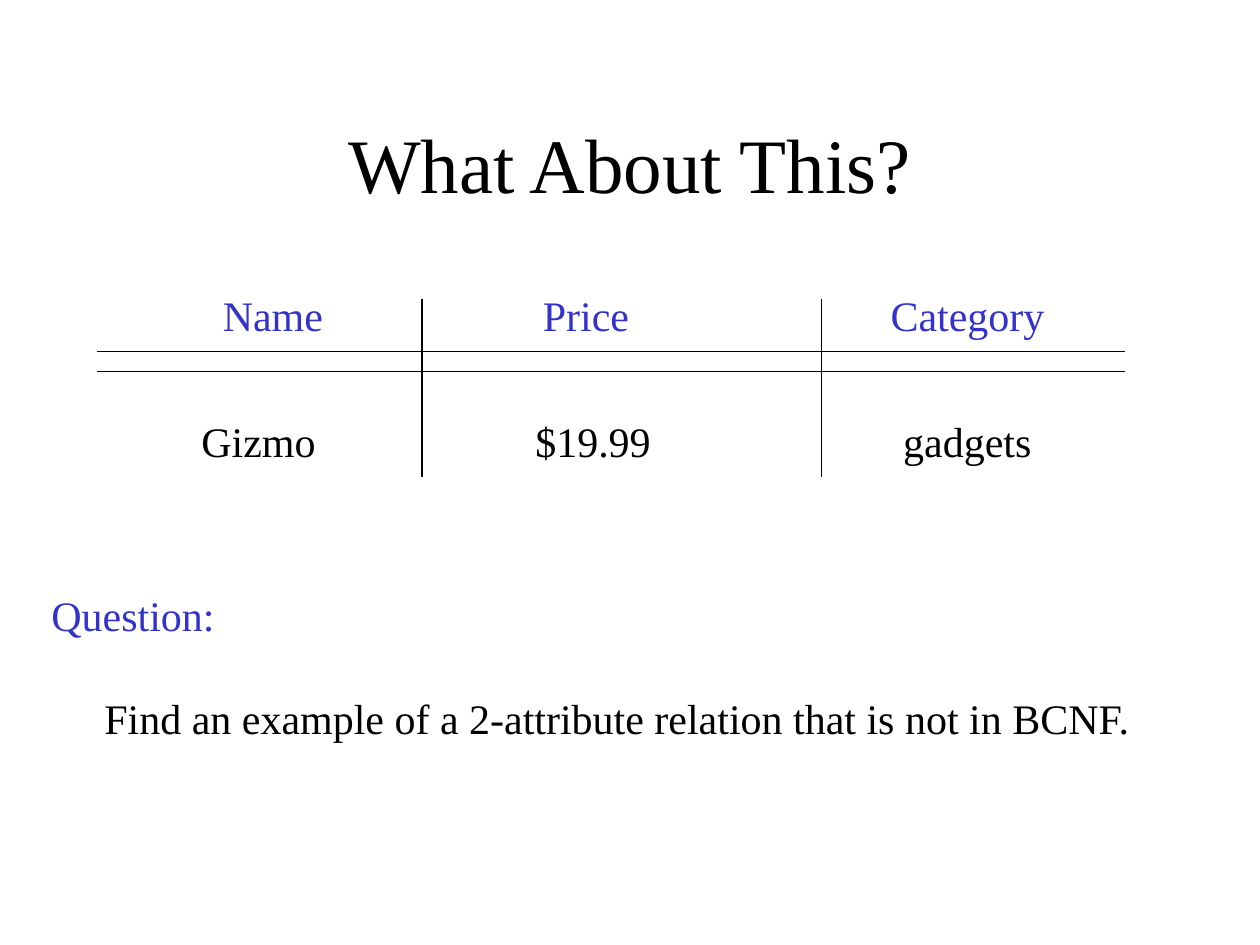
from dataclasses import dataclass

from lxml import etree
from pptx import Presentation
from pptx.dml.color import RGBColor
from pptx.enum.shapes import MSO_CONNECTOR
from pptx.enum.text import MSO_ANCHOR, PP_ALIGN
from pptx.oxml.ns import qn
from pptx.util import Inches, Pt

STRAIGHT = MSO_CONNECTOR.STRAIGHT
MIDDLE, TOP = MSO_ANCHOR.MIDDLE, MSO_ANCHOR.TOP
CENTER, LEFT = PP_ALIGN.CENTER, PP_ALIGN.LEFT
WIDTH, HEIGHT = Inches(10), Inches(7.5)
FONT = "Times New Roman"
BLACK, BLUE = "000000", "3333CC"


@dataclass
class Box:
    """A rectangle in percent of the slide's width and height."""
    left: float
    top: float
    width: float
    height: float


@dataclass
class Row:
    """A row of the relation, its tab stops in percent of the slide's width."""
    box: Box
    values: list[str]
    stops: list[float]
    color: str


@dataclass
class Rule:
    """A straight rule between two points in percent of the slide."""
    x1: float
    y1: float
    x2: float
    y2: float


TITLE = Box(7.5, 8.93, 85, 16.67)
QUESTION = Box(3.1, 61.73, 89, 17.33)
ROWS = [
    Row(Box(16.7, 30, 69, 6.67), ["Name", "Price", "Category"], [25.4, 53], BLUE),
    Row(Box(15, 43.33, 69, 6.67), ["Gizmo", "$19.99", "gadgets"], [26.5, 55.7], BLACK),
]
RULES = [Rule(7.7, y, 89.3, y) for y in (37.2, 39.33)]
RULES += [Rule(x, 31.6, x, 50.53) for x in (33.5, 65.2)]


def across(share: float) -> int:
    """Turn a percentage of the slide's width into a length."""
    return int(WIDTH * share / 100)


def down(share: float) -> int:
    """Turn a percentage of the slide's height into a length."""
    return int(HEIGHT * share / 100)


def rgb(color: str) -> RGBColor:
    """Turn a hex string into a colour."""
    return RGBColor.from_string(color)


def place(box: Box) -> tuple[int, int, int, int]:
    """Give a box as left, top, width and height."""
    return across(box.left), down(box.top), across(box.width), down(box.height)


def add_run(p, text: str, size: float, color: str) -> None:
    """Add one formatted run to a paragraph."""
    r = p.add_run()
    r.text = text
    r.font.name = FONT
    r.font.size = Pt(size)
    r.font.color.rgb = rgb(color)


def add_text_frame(s, box: Box):
    """Add a wrapping text box and return its text frame."""
    tf = s.shapes.add_textbox(*place(box)).text_frame
    tf.word_wrap = True
    tf.vertical_anchor = TOP
    return tf


def add_title(s, text: str) -> None:
    """Move, format and fill the title placeholder."""
    sp = s.shapes.title
    sp.left, sp.top, sp.width, sp.height = place(TITLE)
    tf = sp.text_frame
    tf.vertical_anchor = MIDDLE
    p = tf.paragraphs[0]
    p.alignment = CENTER
    add_run(p, text, 44, BLACK)


def add_row(s, row: Row) -> None:
    """Write a row of values spread over tab stops."""
    p = add_text_frame(s, row.box).paragraphs[0]
    p.alignment = LEFT
    tabs = etree.SubElement(p._p.get_or_add_pPr(), qn("a:tabLst"))
    for stop in row.stops:
        etree.SubElement(tabs, qn("a:tab"), pos=str(across(stop)), algn="l")
    add_run(p, "\t".join(row.values), 24, row.color)


def add_rule(s, rule: Rule) -> None:
    """Draw a thin black rule without a shadow."""
    sp = s.shapes.add_connector(
        STRAIGHT, across(rule.x1), down(rule.y1), across(rule.x2), down(rule.y2))
    sp.line.color.rgb = rgb(BLACK)
    sp.line.width = Pt(0.75)
    etree.SubElement(sp._element.spPr, qn("a:effectLst"))


def add_question(s, heading: str, text: str) -> None:
    """Write the heading and the indented question below it."""
    tf = add_text_frame(s, QUESTION)
    add_run(tf.paragraphs[0], heading, 24, BLUE)
    p = tf.add_paragraph()
    p.space_before = Pt(30)
    p._p.get_or_add_pPr().set("marL", str(across(4.2)))
    add_run(p, text, 24, BLACK)


def main() -> None:
    """Build the slide and save it."""
    prs = Presentation()
    prs.slide_width, prs.slide_height = WIDTH, HEIGHT
    s = prs.slides.add_slide(prs.slide_layouts[5])
    add_title(s, "What About This?")
    for row in ROWS:
        add_row(s, row)
    for rule in RULES:
        add_rule(s, rule)
    add_question(s, "Question:",
                 "Find an example of a 2-attribute relation that is not in BCNF.")
    prs.save("out.pptx")


if __name__ == "__main__":
    main()
